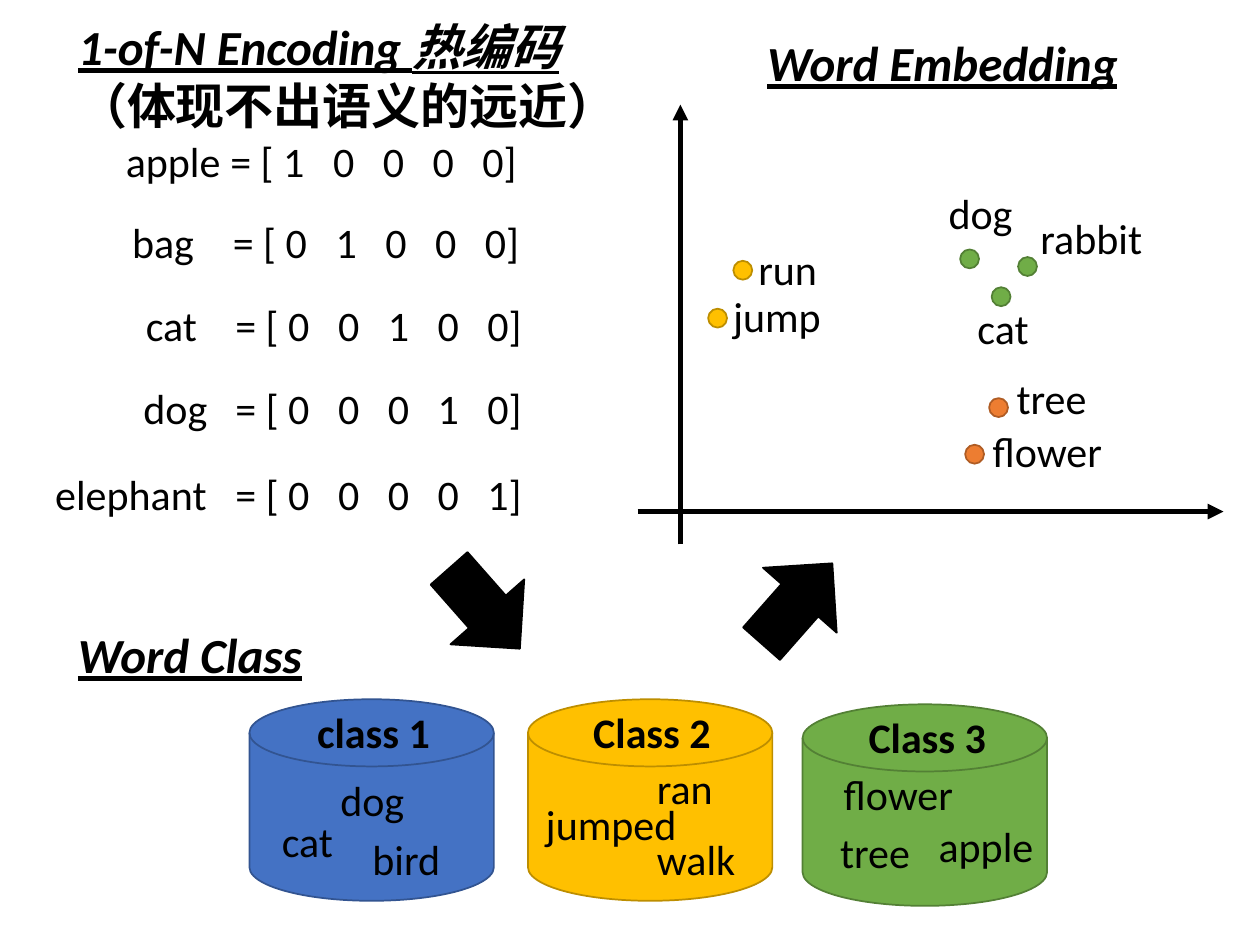
import pptx
import pptx.util
import pptx.dml.color
import pptx.enum.shapes
import pptx.enum.text
import pptx.oxml.ns
import lxml.etree

# Content; lengths are columns and rows of a 100 x 75 grid
COLORS = {"ink": "000000", "blue": "4472C4", "blue edge": "325491",
          "gold": "FFC000", "gold edge": "BD8E00",
          "green": "70AD47", "green edge": "538035",
          "orange": "ED7D31", "orange edge": "AF5C24"}
ENCODING = ["1-of-N Encoding 热编码", "（体现不出语义的远近）"]
HEADINGS = [("Word Embedding", 59.9, 2.1, 31), ("Word Class", 5.2, 49.1, 22)]
# word, left, top, column of the equals sign
VOCABULARY = [("apple", 9, 10.3, 18.3), ("bag", 9.5, 16.7, 18.5),
              ("cat", 10.6, 23.3, 18.7), ("dog", 10.4, 29.9, 18.7),
              ("elephant", 3.4, 36.7, 18.7)]
AXES = [(50.6, 40.6, 97.1, 40.6), (54, 43.2, 54, 8.3)]
# word, colour, dot left and top, label left and top
EMBEDDINGS = [("dog", "green", 76.2, 19.8, 74.3, 14.4),
              ("cat", "green", 78.7, 22.8, 76.6, 23.5),
              ("rabbit", "green", 80.8, 20.4, 81.6, 16.4),
              ("jump", "gold", 56.2, 24.5, 57.2, 22.6),
              ("run", "gold", 58.2, 20.7, 59.2, 18.8),
              ("flower", "orange", 76.6, 35.3, 77.8, 33.3),
              ("tree", "orange", 78.5, 31.6, 79.7, 29.1)]
# name, colour, disk left and top, name centre, words with centre and top
CLASSES = [("class 1", "blue", 19.8, 55.5, 29.65,
            [("dog", 29.55, 61), ("cat", 24.4, 64.2), ("bird", 32.25, 65.7)]),
           ("Class 2", "gold", 41.9, 55.5, 51.75,
            [("ran", 54.35, 60), ("jumped", 48.5, 62.9), ("walk", 55.25, 65.7)]),
           ("Class 3", "green", 63.7, 55.9, 73.6,
            [("flower", 71.3, 60.5), ("tree", 69.45, 65.1), ("apple", 78.25, 64.6)])]
ARROWS = [(34.2, 44.4, 48.6), (59, 44, 311.4)]

DOT, DISK, ARROW = (1.5, 1.5), (19.4, 16), (8.5, 7.8)
LABEL_WIDTH, LABEL_HEIGHT = 14, 5
FIRST_DIGIT_GAP, DIGIT_PITCH = 8.15, 3.95
INSET = 1
BODY = {"name": "Calibri", "size": pptx.util.Pt(24), "bold": False,
        "italic": False, "underline": False}
NAME = {**BODY, "bold": True}
HEADING = {**NAME, "size": pptx.util.Pt(28), "italic": True, "underline": True}
SUBHEADING = {**HEADING, "italic": False, "underline": False}
LEFT, CENTER = pptx.enum.text.PP_ALIGN.LEFT, pptx.enum.text.PP_ALIGN.CENTER
KIND = pptx.enum.shapes.MSO_SHAPE

deck = pptx.Presentation()
deck.slide_width, deck.slide_height = pptx.util.Inches(10), pptx.util.Inches(7.5)
slide = deck.slides.add_slide(deck.slide_layouts[5])
COLUMN, ROW = deck.slide_width / 100, deck.slide_height / 75


def grid(x, y):
    return round(x * COLUMN), round(y * ROW)


def rgb(name):
    return pptx.dml.color.RGBColor.from_string(COLORS[name])


def write(paragraph, text, style, align=LEFT):
    paragraph.alignment = align
    run = paragraph.add_run()
    run.text = text
    for attribute, value in style.items():
        setattr(run.font, attribute, value)
    run.font.color.rgb = rgb("ink")


def label(text, x, y, width=LABEL_WIDTH, style=BODY, align=LEFT):
    box = slide.shapes.add_textbox(*grid(x, y), *grid(width, LABEL_HEIGHT))
    box.text_frame.word_wrap = True
    paragraph = box.text_frame.paragraphs[0]
    write(paragraph, text, style, align)
    return paragraph


def centred(text, middle, y, style=BODY):
    label(text, middle - LABEL_WIDTH / 2, y, style=style, align=CENTER)


def solid(kind, x, y, size, fill, edge):
    shape = slide.shapes.add_shape(kind, *grid(x, y), *grid(*size))
    shape.shadow.inherit = False
    shape.fill.solid()
    shape.fill.fore_color.rgb = rgb(fill)
    shape.line.color.rgb = rgb(edge)
    shape.line.width = pptx.util.Pt(1)
    return shape


def set_tabs(paragraph, stops):
    tabs = lxml.etree.SubElement(paragraph._p.get_or_add_pPr(),
                                 pptx.oxml.ns.qn("a:tabLst"))
    for stop in stops:
        lxml.etree.SubElement(tabs, pptx.oxml.ns.qn("a:tab"),
                              pos=str(round(stop * COLUMN)), algn="l")


# Headings
title = slide.shapes.title
title.left, title.top = grid(5.2, 0.8)
title.width, title.height = grid(44.8, 10.4)
frame = title.text_frame
frame.auto_size = pptx.enum.text.MSO_AUTO_SIZE.NONE
frame.vertical_anchor = pptx.enum.text.MSO_ANCHOR.TOP
frame.word_wrap = False
write(frame.paragraphs[0], ENCODING[0], HEADING)
write(frame.add_paragraph(), ENCODING[1], SUBHEADING)
for text, x, y, width in HEADINGS:
    label(text, x, y, width, HEADING)

# One-hot vectors: each word's own place holds the 1
for place, (word, x, y, equals) in enumerate(VOCABULARY):
    digits = ["1" if i == place else "0" for i in range(len(VOCABULARY))]
    vector = label(f"{word}\t= [ " + "\t".join(digits) + "]", x, y, 44.4)
    start = equals - x - INSET
    set_tabs(vector, [start] + [start + FIRST_DIGIT_GAP + i * DIGIT_PITCH
                                for i in range(len(digits) - 1)])

# Embedding space
for x1, y1, x2, y2 in AXES:
    axis = slide.shapes.add_connector(pptx.enum.shapes.MSO_CONNECTOR.STRAIGHT,
                                      *grid(x1, y1), *grid(x2, y2))
    axis.line.color.rgb = rgb("ink")
    axis.line.width = pptx.util.Pt(3)
    lxml.etree.SubElement(axis.line._get_or_add_ln(),
                          pptx.oxml.ns.qn("a:tailEnd"), type="triangle")
    lxml.etree.SubElement(axis._element.spPr, pptx.oxml.ns.qn("a:effectLst"))
for word, color, dot_x, dot_y, x, y in EMBEDDINGS:
    solid(KIND.OVAL, dot_x, dot_y, DOT, color, f"{color} edge")
    label(word, x, y)

# Word classes
for name, color, x, y, middle, words in CLASSES:
    solid(KIND.FLOWCHART_MAGNETIC_DISK, x, y, DISK, color, f"{color} edge")
    centred(name, middle, y + 0.1, NAME)
    for word, word_middle, word_y in words:
        centred(word, word_middle, word_y)

# Arrows between the three views
for x, y, angle in ARROWS:
    solid(KIND.RIGHT_ARROW, x, y, ARROW, "ink", "ink").rotation = angle

deck.save("out.pptx")
